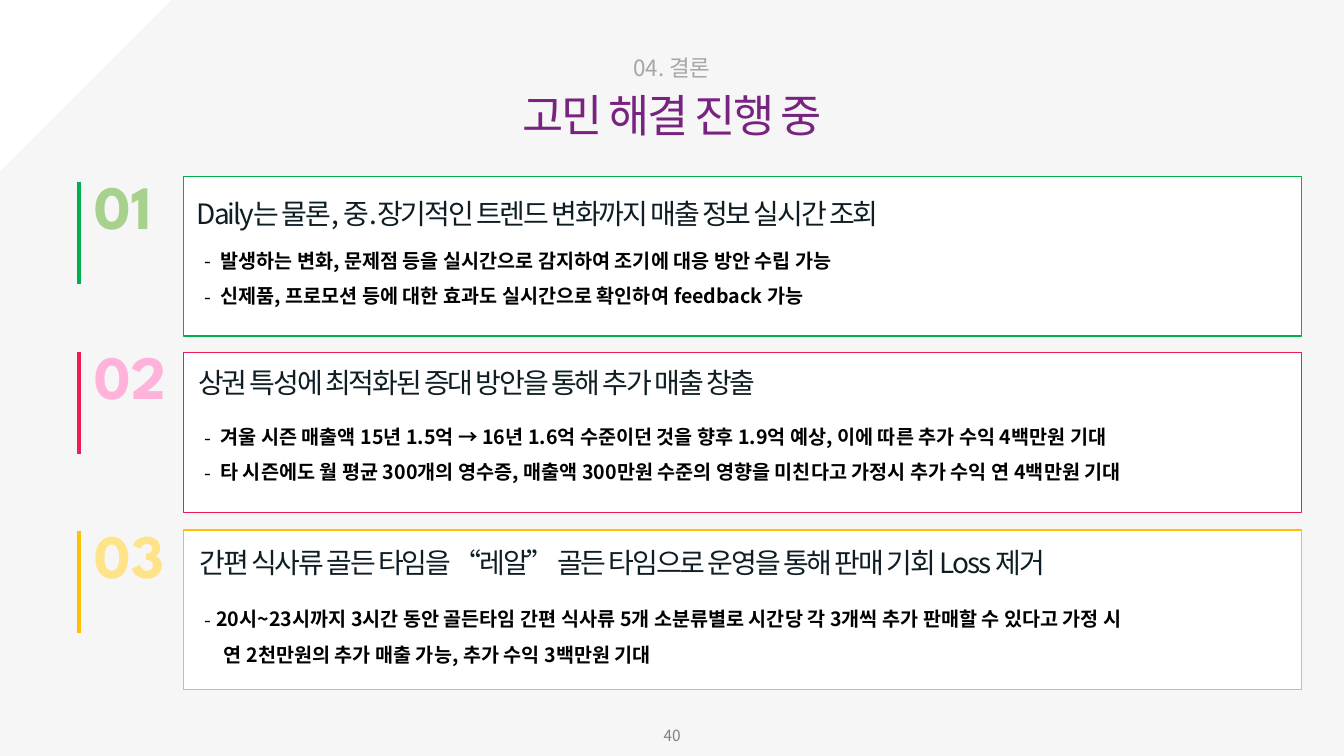
from dataclasses import dataclass

from pptx import Presentation
from pptx.dml.color import RGBColor as RGB
from pptx.enum.shapes import MSO_CONNECTOR as LINE, MSO_SHAPE as SHAPE
from pptx.enum.text import MSO_ANCHOR as ANCHOR, MSO_AUTO_SIZE as FIT, PP_ALIGN as ALIGN
from pptx.oxml.ns import qn
from pptx.util import Pt
from lxml.etree import SubElement


@dataclass(frozen=True)
class Theme:
    sans: str = "Noto Sans CJK KR"
    round: str = "League Spartan"
    back: str = "F6F6F6"
    white: str = "FFFFFF"
    title: str = "792381"
    kicker: str = "A6A6A6"
    head: str = "0F1D24"
    body: str = "000000"
    page: str = "808080"
    title_size: int = 32
    kicker_size: int = 16
    num_size: int = 44
    head_size: int = 20
    body_size: int = 14
    page_size: int = 11


T = Theme()

# Each topic: line colour, number colour, tops of card, bar and body,
# left of heading, hanging indent, heading, bullets, continuation line
TOPICS = [
    dict(line="00B050", tint="A9D18E", card=126, bar=130.3, body=165.6,
         left=140.7, hang=11.5,
         head="Daily는 물론, 중.장기적인 트렌드 변화까지 매출 정보 실시간 조회",
         items=["발생하는 변화, 문제점 등을 실시간으로 감지하여 조기에 대응 방안 수립 가능",
                "신제품, 프로모션 등에 대한 효과도 실시간으로 확인하여 feedback 가능"],
         more=[]),
    dict(line="ED1C56", tint="FFB3DA", card=252, bar=251.3, body=291.6,
         left=141.5, hang=11.5,
         head="상권 특성에 최적화된 증대 방안을 통해 추가 매출 창출",
         items=["겨울 시즌 매출액 15년 1.5억 → 16년 1.6억 수준이던 것을 향후 1.9억 예상, "
                "이에 따른 추가 수익 4백만원 기대",
                "타 시즌에도 월 평균 300개의 영수증, 매출액 300만원 수준의 영향을 미친다고 "
                "가정시 추가 수익 연 4백만원 기대"],
         more=[]),
    dict(line="FFC000", tint="FFE389", card=378.7, bar=379.4, body=421.9,
         left=142.5, hang=8.5,
         head="간편 식사류 골든 타임을 “레알” 골든 타임으로 운영을 통해 판매 기회 Loss 제거",
         items=["20시~23시까지 3시간 동안 골든타임 간편 식사류 5개 소분류별로 시간당 각 "
                "3개씩 추가 판매할 수 있다고 가정 시"],
         more=["연 2천만원의 추가 매출 가능, 추가 수익 3백만원 기대"]),
]


def style(obj, vals):
    for key, val in vals.items():
        setattr(obj, key, val)


def place(shape, box):
    style(shape, dict(zip(("left", "top", "width", "height"), map(Pt, box))))


def write(para, text, size, color, face=T.sans, bold=False, track=0):
    run = para.add_run()
    run.text = text
    style(run.font, dict(name=face, size=Pt(size), bold=bold))
    run.font.color.rgb = RGB.from_string(color)
    props = run._r.get_or_add_rPr()
    SubElement(props, qn("a:ea")).set("typeface", face)
    if track:
        props.set("spc", str(track))


def frame(shape, wrap=False, anchor=ANCHOR.TOP, side=7.2):
    style(shape.text_frame, dict(
        word_wrap=wrap, auto_size=FIT.NONE, vertical_anchor=anchor,
        margin_left=Pt(side), margin_right=Pt(side),
        margin_top=Pt(3.6), margin_bottom=Pt(3.6)))
    return shape.text_frame


def label(slide, box, text, size, color, align=ALIGN.LEFT,
          anchor=ANCHOR.TOP, side=7.2, **look):
    shape = slide.shapes.add_textbox(*map(Pt, box))
    para = frame(shape, anchor=anchor, side=side).paragraphs[0]
    para.alignment = align
    write(para, text, size, color, **look)


def block(slide, kind, box, fill, edge=None):
    shape = slide.shapes.add_shape(kind, *map(Pt, box))
    shape.shadow.inherit = False
    shape.fill.solid()
    shape.fill.fore_color.rgb = RGB.from_string(fill)
    if edge:
        shape.line.color.rgb = RGB.from_string(edge)
        shape.line.width = Pt(1)
    else:
        shape.line.fill.background()
    return shape


def rule(slide, x, top, size, color):
    bar = slide.shapes.add_connector(
        LINE.STRAIGHT, Pt(x), Pt(top), Pt(x), Pt(top + size))
    bar.line.color.rgb = RGB.from_string(color)
    bar.line.width = Pt(3)
    SubElement(bar._element.spPr, qn("a:effectLst"))


def indent(para, left, hang=0, mark=None):
    props = para._p.get_or_add_pPr()
    props.set("marL", str(Pt(left)))
    props.set("indent", str(-Pt(hang)))
    if mark:
        SubElement(props, qn("a:buFont")).set("typeface", T.sans)
        SubElement(props, qn("a:buChar")).set("char", mark)


def points(slide, top, items, more, hang):
    shape = slide.shapes.add_textbox(*map(Pt, (146, top, 800, 55.4)))
    text = frame(shape, wrap=True, side=0)
    for i, line in enumerate(items + more):
        para = text.add_paragraph() if i else text.paragraphs[0]
        if i < len(items):
            indent(para, hang, hang, "-")
        else:
            indent(para, 14)
        para.line_spacing = 1.5
        write(para, line, T.body_size, T.body, bold=True)


def topic(slide, num, row):
    block(slide, SHAPE.RECTANGLE, (131, row["card"], 798.5, 114),
          T.white, row["line"])
    rule(slide, 56.2, row["bar"], 72.7, row["line"])
    label(slide, (60.5, row["bar"] - 13.7, 103, 60.5), f"{num:02}",
          T.num_size, row["tint"], face=T.round, bold=True)
    label(slide, (row["left"], row["bar"] + 6.5, 780, 31.7), row["head"],
          T.head_size, T.head, side=0, track=-150)
    points(slide, row["body"], row["items"], row["more"], row["hang"])


def main():
    deck = Presentation()
    style(deck, dict(slide_width=Pt(960), slide_height=Pt(540)))
    slide = deck.slides.add_slide(deck.slide_layouts[5])

    # Background and corner
    slide.background.fill.solid()
    slide.background.fill.fore_color.rgb = RGB.from_string(T.back)
    corner = block(slide, SHAPE.RIGHT_TRIANGLE, (0, 0, 122.4, 122.4), T.white)
    corner.rotation = 90

    # Title and kicker
    title = slide.shapes.title
    place(title, (357, 59, 246.2, 46))
    para = frame(title).paragraphs[0]
    para.alignment = ALIGN.CENTER
    write(para, "고민 해결 진행 중", T.title_size, T.title, track=-150)
    label(slide, (442.8, 35.3, 74.2, 26.6), "04. 결론",
          T.kicker_size, T.kicker, ALIGN.CENTER)

    # Topics
    for num, row in enumerate(TOPICS, 1):
        topic(slide, num, row)

    # Page number
    label(slide, (372.2, 511.2, 216, 28.8), "40", T.page_size, T.page,
          ALIGN.CENTER, ANCHOR.MIDDLE)
    deck.save("out.pptx")


if __name__ == "__main__":
    main()
